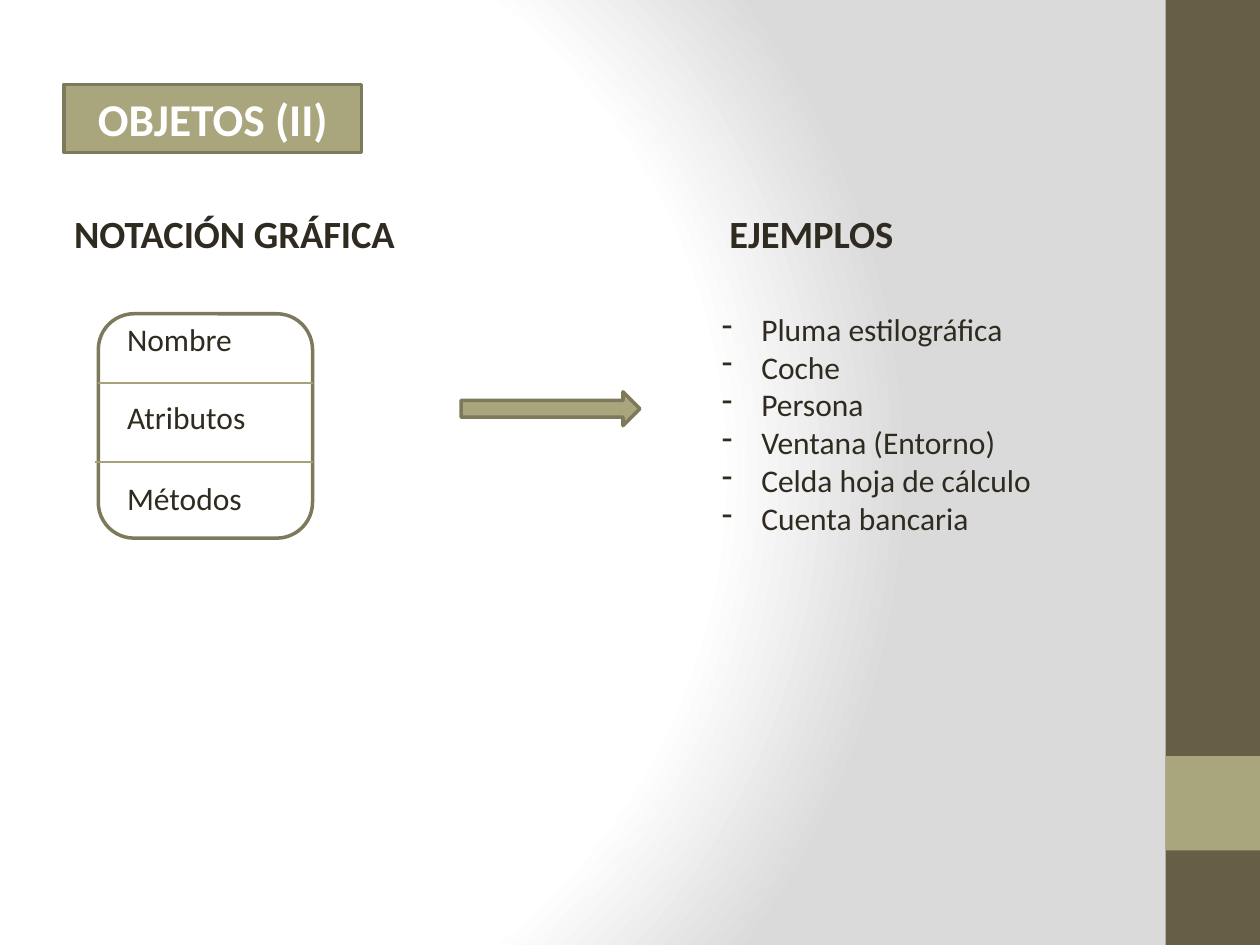
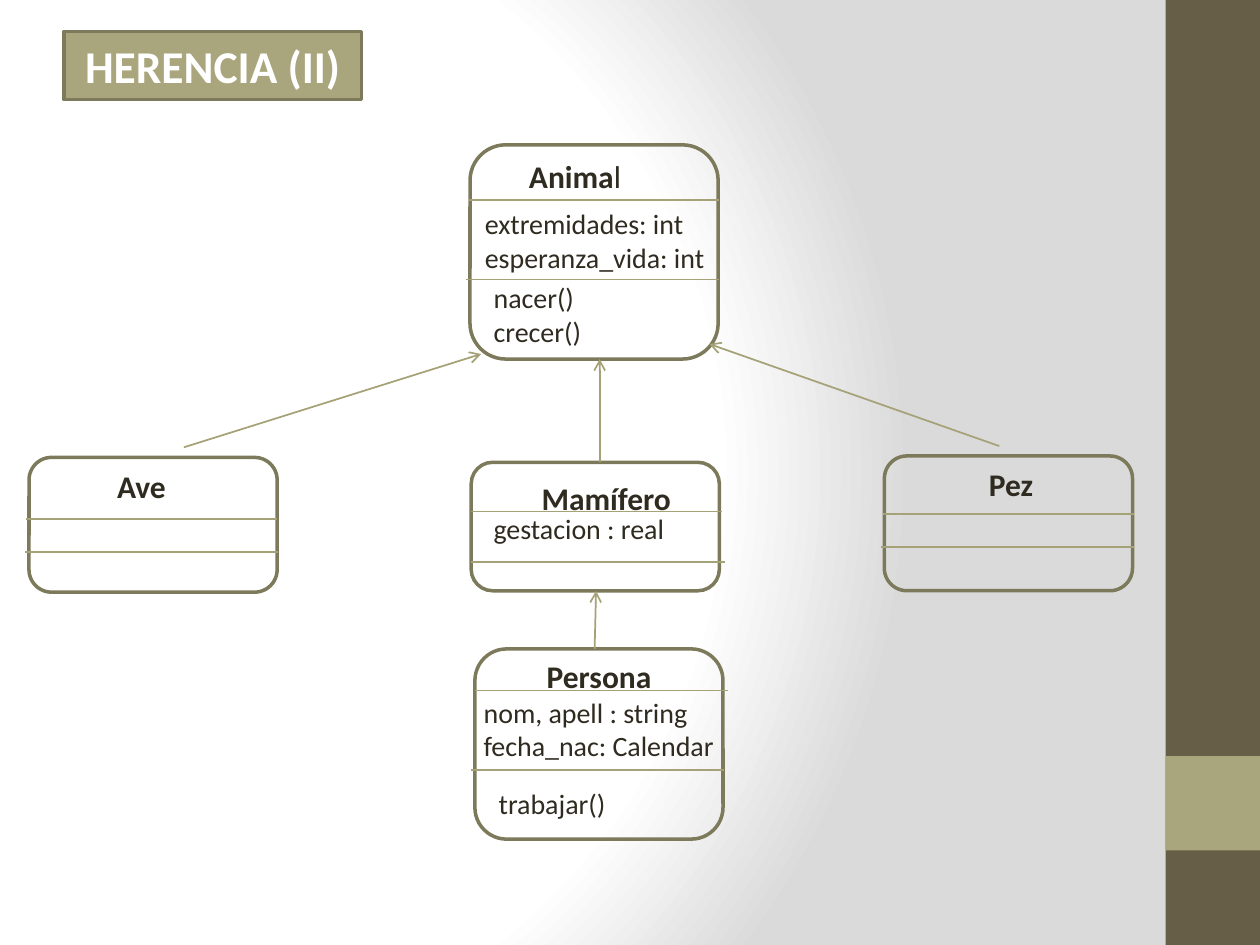
from pptx import Presentation
from pptx.dml.color import RGBColor
from pptx.enum import shapes, text
from pptx.oxml import parse_xml
from pptx.oxml.ns import nsdecls, qn
from pptx.util import Pt

INK = RGBColor(0x2F, 0x2B, 0x20)
WHITE = RGBColor(0xFF, 0xFF, 0xFF)
BROWN = RGBColor(0x67, 0x5E, 0x47)
OLIVE = RGBColor(0xA9, 0xA5, 0x7C)
OUTLINE = RGBColor(0x7D, 0x7A, 0x5C)
RULE = RGBColor(0xA6, 0xA2, 0x78)
BACKGROUND_STOPS = [(0, "FFFFFF"), (75, "FFFFFF"), (100, "DADADA")]
FONT = "Calibri"

SLIDE_WIDTH, SLIDE_HEIGHT = 720, 540
BAND = 54
TITLE_LEFT, TITLE_WIDTH, TITLE_HEIGHT = 36.7, 170, 38.9
CLASS_WIDTH = 141.8

HEADINGS = [(35.3, 200.2, "NOTACIÓN GRÁFICA"), (409.7, 109.4, "EJEMPLOS")]
HEADING_TOP = 116.6
NOTATION_ARROW = (263.5, 223.9, 102.2, 19.4)
EXAMPLES_AT = (405.4, 173.5, 193.7)
EXAMPLES = ["Pluma estilográfica", "Coche", "Persona", "Ventana (Entorno)",
            "Celda hoja de cálculo", "Cuenta bancaria"]

# Rules are (x, y, length) and labels (x, y, width, size, bold, lines),
# both measured from the corner of the class box.
# In a bold line, what follows a bar is set in regular weight.
NOTATION = {
    "box": (56.2, 179.3, 122.4, 128.2),
    "rules": [(0, 39.6, 122.4), (-2.2, 84.9, 124.6)],
    "labels": [(9.3, 0, 82.8, 18, False, ["Nombre"]),
               (9.3, 44.6, 82.8, 18, False, ["Atributos"]),
               (9.3, 90.7, 82.8, 18, False, ["Métodos"])],
}
CLASSES = [
    {"box": (268.6, 82.8, CLASS_WIDTH, 122.4),
     "rules": [(-0.8, 31.7, 143.3), (-2.2, 77, 144.7)],
     "labels": [(26.6, 3.6, 67.7, 18, True, ["Anima|l"]),
                (1.4, 31.7, 141, 16, False,
                 ["extremidades: int", "esperanza_vida: int"]),
                (6.4, 74.2, 65.5, 16, False, ["nacer()", "crecer()"])]},
    {"box": (16.6, 261.4, CLASS_WIDTH, 77),
     "rules": [(-1.5, 35.2, 143.3), (-2.2, 54, 144.7)],
     "labels": [(43.2, 2.1, 42.5, 18, True, ["Ave"])]},
    {"box": (505.4, 260.6, CLASS_WIDTH, 77),
     "rules": [(-0.7, 33.2, 143.3), (-2.1, 51.9, 144.7)],
     "labels": [(52.6, 1.5, 40.3, 18, True, ["Pez"])]},
    {"box": (269.3, 264.2, CLASS_WIDTH, 73.4),
     "rules": [(0, 28.1, 143.3), (0, 56.9, 144.7)],
     "labels": [(33.1, 5.8, 89.3, 18, True, ["Mamífero"]),
                (5.7, 24.5, 113, 16, False, ["gestacion : real"])]},
    {"box": (271.4, 370.8, CLASS_WIDTH, 108.7),
     "rules": [(0, 23.8, 144.7), (-2.1, 69.1, 144.7)],
     "labels": [(33.9, 1.4, 74.9, 18, True, ["Persona"]),
                (-2.1, 23, 147.6, 16, False,
                 ["nom, apell : string", "fecha_nac: Calendar"]),
                (6.5, 74.9, 76.3, 16, False, ["trabajar()"])]},
]
INHERITANCE = [  # from subclass to parent
    (105.1, 255.6, 275, 202.3),
    (571, 254.9, 405.4, 196.6),
    (342.7, 264.2, 342.7, 205.2),
    (339.8, 370.8, 340.6, 337.7),
]


def points(*values):
    return [Pt(value) for value in values]


def style_run(span, size, color, bold):
    span.font.name = FONT
    span.font.size = Pt(size)
    span.font.bold = bold
    span.font.color.rgb = color


def add_box(page, kind, place, fill=None, outline=None):
    box = page.shapes.add_shape(kind, *points(*place))
    box.shadow.inherit = False
    if fill is None:
        box.fill.background()
    else:
        box.fill.solid()
        box.fill.fore_color.rgb = fill
    if outline is None:
        box.line.fill.background()
    else:
        box.line.color.rgb = outline
        box.line.width = Pt(2)
    return box


def add_line(page, ends, arrow=False):
    line = page.shapes.add_connector(shapes.MSO_CONNECTOR.STRAIGHT, *points(*ends))
    line.line.color.rgb = RULE
    line.line.width = Pt(1)
    properties = line.element.spPr
    properties.append(parse_xml(f"<a:effectLst {nsdecls('a')}/>"))
    if arrow:
        properties.find(qn("a:ln")).append(
            parse_xml(f'<a:tailEnd {nsdecls("a")} type="arrow"/>'))


def add_label(page, left, top, width, size, bold, lines):
    height = len(lines) * size * 1.2 + 7.2
    box = page.shapes.add_textbox(*points(left, top, width, height))
    frame = box.text_frame
    frame.word_wrap = False
    for index, line in enumerate(lines):
        para = frame.paragraphs[0] if index == 0 else frame.add_paragraph()
        for part, words in enumerate(line.split("|")):
            span = para.add_run()
            span.text = words
            style_run(span, size, INK, bold and part == 0)
    return frame


def add_class(page, box, rules, labels):
    left, top = box[:2]
    add_box(page, shapes.MSO_SHAPE.ROUNDED_RECTANGLE, box, outline=OUTLINE)
    for x, y, length in rules:
        add_line(page, (left + x, top + y, left + x + length, top + y))
    for x, y, *rest in labels:
        add_label(page, left + x, top + y, *rest)


def add_page(deck, title, top):
    page = deck.slides.add_slide(deck.slide_layouts[5])
    box = page.shapes.title
    box.left, box.top, box.width, box.height = points(
        TITLE_LEFT, top, TITLE_WIDTH, TITLE_HEIGHT)
    box.fill.solid()
    box.fill.fore_color.rgb = OLIVE
    box.line.color.rgb = OUTLINE
    box.line.width = Pt(2)
    frame = box.text_frame
    frame.text = title
    frame.auto_size = text.MSO_AUTO_SIZE.NONE
    frame.vertical_anchor = text.MSO_ANCHOR.MIDDLE
    para = frame.paragraphs[0]
    para.alignment = text.PP_ALIGN.CENTER
    style_run(para.runs[0], 26, WHITE, True)
    return page


def dress_layout(page):
    """Give the layout of the page the radial background and the side bands."""
    layout = page.slide_layout
    layout.background.fill.gradient()
    gradient = layout.element.find(".//" + qn("a:gradFill"))
    for child in list(gradient):
        gradient.remove(child)
    stops = "".join(f'<a:gs pos="{position * 1000}"><a:srgbClr val="{color}"/></a:gs>'
                    for position, color in BACKGROUND_STOPS)
    gradient.append(parse_xml(f"<a:gsLst {nsdecls('a')}>{stops}</a:gsLst>"))
    gradient.append(parse_xml(
        f'<a:path {nsdecls("a")} path="circle">'
        '<a:fillToRect l="20000" t="50000" r="100000" b="50000"/></a:path>'))
    left = SLIDE_WIDTH - BAND
    for top, height, color in [(0, SLIDE_HEIGHT, BROWN), (432, BAND, OLIVE)]:
        band = add_box(page, shapes.MSO_SHAPE.RECTANGLE, (left, top, BAND, height), color)
        layout.shapes.element.append(band.element)


def add_dashes(frame):
    for para in frame.paragraphs:
        properties = para._p.get_or_add_pPr()
        properties.set("marL", str(Pt(22.5)))
        properties.set("indent", str(-Pt(22.5)))
        properties.append(parse_xml(f'<a:buChar {nsdecls("a")} char="-"/>'))


def build_objects(deck):
    page = add_page(deck, "OBJETOS (II)", 48.2)
    dress_layout(page)
    for left, width, heading in HEADINGS:
        add_label(page, left, HEADING_TOP, width, 22, True, [heading])
    add_class(page, **NOTATION)
    add_box(page, shapes.MSO_SHAPE.RIGHT_ARROW, NOTATION_ARROW, OLIVE, OUTLINE)
    add_dashes(add_label(page, *EXAMPLES_AT, 18, False, EXAMPLES))


def build_inheritance(deck):
    page = add_page(deck, "HERENCIA (II)", 18)
    for drawn_class in CLASSES:
        add_class(page, **drawn_class)
    for ends in INHERITANCE:
        add_line(page, ends, arrow=True)


def main():
    deck = Presentation()
    deck.slide_width, deck.slide_height = points(SLIDE_WIDTH, SLIDE_HEIGHT)
    build_objects(deck)
    build_inheritance(deck)
    deck.save("out.pptx")


if __name__ == "__main__":
    main()
